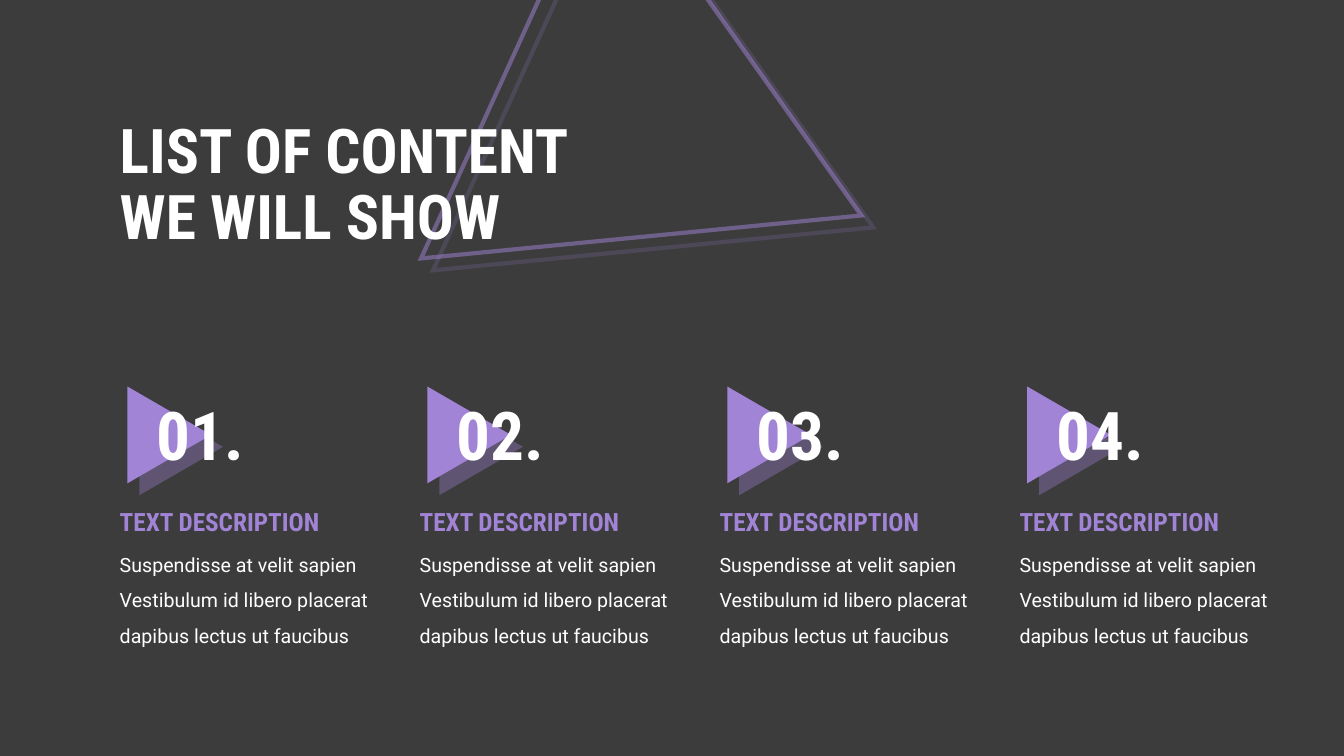
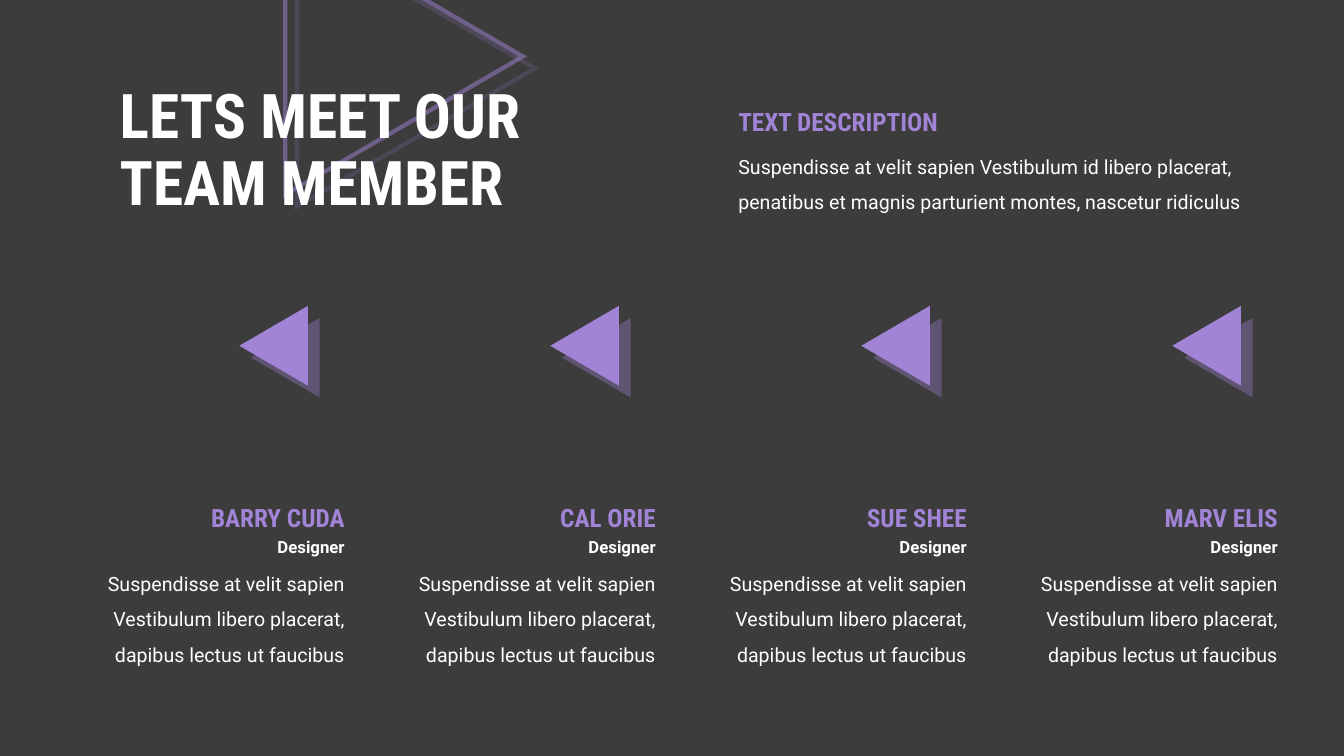
from pptx import Presentation
from pptx.dml.color import RGBColor
from pptx.enum.shapes import MSO_SHAPE
from pptx.enum.text import MSO_ANCHOR, PP_ALIGN
from pptx.oxml import parse_xml
from pptx.oxml.ns import nsdecls, qn
from pptx.util import Inches, Pt

TRI = MSO_SHAPE.ISOSCELES_TRIANGLE
LEFT, RIGHT = PP_ALIGN.LEFT, PP_ALIGN.RIGHT
TOP, MIDDLE = MSO_ANCHOR.TOP, MSO_ANCHOR.MIDDLE

DARK = RGBColor(0x3C, 0x3C, 0x3C)
WHITE = RGBColor(0xFF, 0xFF, 0xFF)
LILAC = RGBColor(0xA2, 0x84, 0xD7)

# Text styles: font, size, bold, colour, line spacing, anchor
HEAD, BODY = "Roboto Condensed", "Roboto"
TITLE = (HEAD, 44, True, WHITE, 0.9, MIDDLE)
NUMBER = (HEAD, 48, True, WHITE, 1.0, TOP)
LABEL = (HEAD, 18, True, LILAC, 1.0, TOP)
ROLE = (BODY, 12, True, WHITE, 1.0, TOP)
PLAIN = (BODY, 14, False, WHITE, 1.5, TOP)

SHADE = (
    f'<a:outerShdw {nsdecls("a")} blurRad="0" dist="{Pt(12.1)}" dir="2700000" '
    f'algn="tl" rotWithShape="0"><a:srgbClr val="{LILAC}">'
    '<a:alpha val="35000"/></a:srgbClr></a:outerShdw>'
)


def write(slide, area, lines, style, align=LEFT):
    """Add a text box whose lines are parted by line breaks."""
    face, size, bold, tint, space, anchor = style
    box = slide.shapes.add_textbox(*map(Inches, area))
    frame = box.text_frame
    frame.word_wrap = True
    frame.vertical_anchor = anchor
    para = frame.paragraphs[0]
    para.alignment = align
    para.line_spacing = space
    for i, line in enumerate(lines):
        if i:
            para.add_line_break()
        run = para.add_run()
        run.text = line
        font = run.font
        font.name, font.size, font.bold = face, Pt(size), bold
        font.color.rgb = tint
    # Breaks take the text size too
    para.font.size = Pt(size)


def wedge(slide, area, turn, solid=True):
    """Add a turned triangle, solid or outlined, with a hard shadow."""
    shape = slide.shapes.add_shape(TRI, *map(Inches, area))
    shape.rotation = turn
    shape.shadow.inherit = False
    props = shape.element.spPr
    if solid:
        shape.fill.solid()
        shape.fill.fore_color.rgb = LILAC
        shape.line.fill.background()
    else:
        shape.fill.background()
        shape.line.width = Pt(3)
        shape.line.color.rgb = LILAC
        edge = props.find(qn("a:ln"))
        tint = edge.find(qn("a:solidFill"))[0]
        tint.append(parse_xml(f'<a:alpha {nsdecls("a")} val="50000"/>'))
        edge.append(parse_xml(f'<a:miter {nsdecls("a")} lim="800000"/>'))
    props.find(qn("a:effectLst")).append(parse_xml(SHADE))


deck = Presentation()
deck.slide_width, deck.slide_height = Inches(13.34), Inches(7.5)
back = deck.slide_master.background.fill
back.solid()
back.fore_color.rgb = DARK
blank = deck.slide_layouts[6]

# Outlined triangle and title on each slide
heads = [
    ((4.62, -0.55, 4.4, 3.8), 114.5, 1.06, ("LIST OF CONTENT", "WE WILL SHOW")),
    ((2.64, -0.62, 2.74, 2.36), 90, 0.72, ("LETS MEET OUR", "TEAM MEMBER")),
]
for area, turn, y, lines in heads:
    slide = deck.slides.add_slide(blank)
    wedge(slide, area, turn, solid=False)
    write(slide, (1.09, y, 5.62, 1.58), lines, TITLE)
list_page, team_page = deck.slides

# Contents: four numbered columns
START, STEP = 1.09, 2.977
text = "Suspendisse at velit sapien Vestibulum id libero placerat dapibus lectus ut faucibus"
for i in range(4):
    x = START + i * STEP
    wedge(list_page, (x + 0.11, 3.9, 0.96, 0.83), 90)
    write(list_page, (x + 0.37, 3.85, 1.33, 0.9), [f"{i + 1:02}."], NUMBER)
    write(list_page, (x, 5.32, 2.81, 1.15), [text], PLAIN)
    write(list_page, (x, 4.97, 2.45, 0.4), ["TEXT DESCRIPTION"], LABEL)

# Team: four columns set to their right edge
EDGE, PITCH = 3.52, 3.087
text = "Suspendisse at velit sapien Vestibulum libero placerat, dapibus lectus ut faucibus"
for i, name in enumerate(("BARRY CUDA", "CAL ORIE", "SUE SHEE", "MARV ELIS")):
    x = EDGE + i * PITCH
    rows = [(2.84, 5.51, 1.15, text, PLAIN),
            (1.85, 4.93, 0.4, name, LABEL),
            (1.04, 5.28, 0.3, "Designer", ROLE)]
    for w, y, h, line, style in rows:
        write(team_page, (x - w, y, w, h), [line], style, RIGHT)
    wedge(team_page, (x - 1.2, 3.09, 0.79, 0.68), 270)

# Team introduction
text = ("Suspendisse at velit sapien Vestibulum id libero placerat, "
        "penatibus et magnis parturient montes, nascetur ridiculus")
write(team_page, (7.23, 1.37, 5.55, 0.8), [text], PLAIN)
write(team_page, (7.23, 1.01, 2.45, 0.4), ["TEXT DESCRIPTION"], LABEL)

deck.save("out.pptx")
